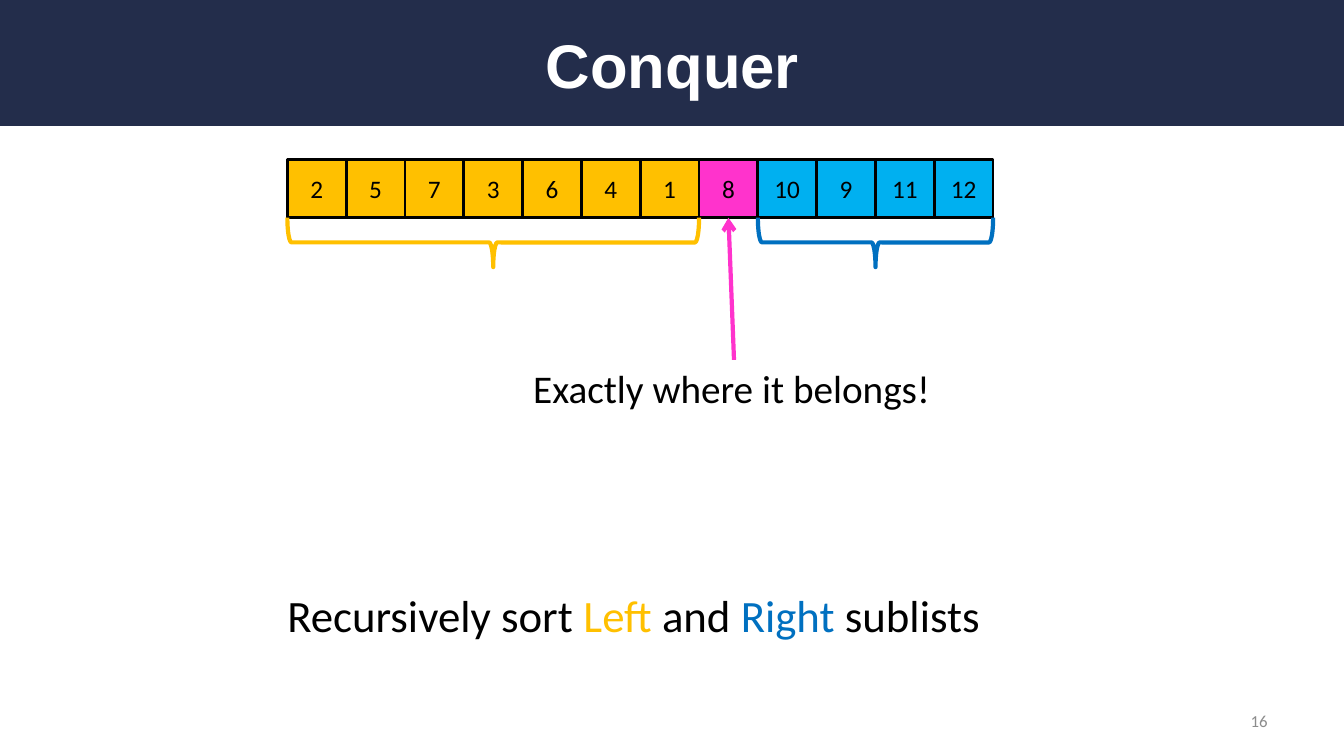
from lxml import etree
from pptx import Presentation
from pptx.dml.color import RGBColor
from pptx.enum.shapes import MSO_CONNECTOR, MSO_SHAPE
from pptx.enum.text import MSO_ANCHOR, MSO_AUTO_SIZE, PP_ALIGN
from pptx.oxml.ns import qn
from pptx.util import Pt

PX = 9144
SLIDE_WIDTH, SLIDE_HEIGHT = 1333, 750
RECTANGLE, RIGHT_BRACE = MSO_SHAPE.RECTANGLE, MSO_SHAPE.RIGHT_BRACE
STRAIGHT = MSO_CONNECTOR.STRAIGHT
MIDDLE, TOP_ANCHOR = MSO_ANCHOR.MIDDLE, MSO_ANCHOR.TOP
LEFT, CENTER, RIGHT = PP_ALIGN.LEFT, PP_ALIGN.CENTER, PP_ALIGN.RIGHT
NO_FIT, GROW = MSO_AUTO_SIZE.NONE, MSO_AUTO_SIZE.SHAPE_TO_FIT_TEXT
TOP_SIDE, BOTTOM_SIDE = 0, 2

NAVY = RGBColor(0x23, 0x2D, 0x4B)
WHITE = RGBColor(0xFF, 0xFF, 0xFF)
BLACK = RGBColor(0x00, 0x00, 0x00)
GRAY = RGBColor(0x8C, 0x8C, 0x8C)
GOLD = RGBColor(0xFF, 0xC0, 0x00)
PINK = RGBColor(0xFF, 0x33, 0xCC)
SKY = RGBColor(0x00, 0xB0, 0xF0)
BLUE = RGBColor(0x00, 0x70, 0xC0)

LEFT_LIST = [2, 5, 7, 3, 6, 4, 1]
PIVOT = 8
RIGHT_LIST = [10, 9, 11, 12]


def emu(*lengths):
    return [round(length * PX) for length in lengths]


def place(shape, box):
    shape.left, shape.top, shape.width, shape.height = emu(*box)


def write(shape, runs, size, align=LEFT, anchor=MIDDLE, font="Calibri", bold=False):
    frame = shape.text_frame
    frame.vertical_anchor = anchor
    paragraph = frame.paragraphs[0]
    paragraph.alignment = align
    paragraph.space_before = Pt(0)
    for text, color in runs:
        run = paragraph.add_run()
        run.text = text
        run.font.name = font
        run.font.size = Pt(size)
        run.font.bold = bold
        run.font.color.rgb = color


def add_shape(slide, kind, box, fill=None, line=None, weight=2):
    shape = slide.shapes.add_shape(kind, *emu(*box))
    shape.shadow.inherit = False
    if fill is None:
        shape.fill.background()
    else:
        shape.fill.solid()
        shape.fill.fore_color.rgb = fill
    if line is None:
        shape.line.fill.background()
    else:
        shape.line.color.rgb = line
        shape.line.width = Pt(weight)
    return shape


def add_header(slide, box):
    left, top, width, height = box
    title = slide.shapes.title
    banner = add_shape(slide, RECTANGLE, box, NAVY)
    title.element.addprevious(banner.element)
    place(title, (left + 67, top + 17, width - 133, height - 33))
    title.text_frame.auto_size = NO_FIT
    write(title, [("Conquer", WHITE)], 44, CENTER, font="Arial", bold=True)


def add_brace(slide, box, color):
    left, top, width, height = box
    upright = (left + (width - height) / 2, top + (height - width) / 2, height, width)
    brace = add_shape(slide, RIGHT_BRACE, upright, line=color, weight=3)
    brace.rotation = 90


def add_array(slide, box):
    left, top, width, height = box
    cells = [(value, GOLD) for value in LEFT_LIST]
    cells.append((PIVOT, PINK))
    cells += [(value, SKY) for value in RIGHT_LIST]
    pitch = width / len(cells)
    for index, (value, fill) in enumerate(cells):
        cell = add_shape(slide, RECTANGLE, (left + index * pitch, top, pitch, height), fill, BLACK)
        frame = cell.text_frame
        frame.margin_left = frame.margin_right = 0
        write(cell, [(str(value), BLACK)], 18, CENTER)
        if value == PIVOT:
            pivot_cell = cell
    left_width = len(LEFT_LIST) * pitch
    right_width = len(RIGHT_LIST) * pitch
    add_brace(slide, (left, top + height, left_width, 49), GOLD)
    add_brace(slide, (left + width - right_width, top + height, right_width, 49), BLUE)
    return pivot_cell


def add_pivot_note(slide, box, pivot_cell):
    note = slide.shapes.add_textbox(*emu(*box))
    note.text_frame.word_wrap = False
    note.text_frame.auto_size = GROW
    write(note, [("Exactly where it belongs!", BLACK)], 28, anchor=TOP_ANCHOR)
    arrow = slide.shapes.add_connector(STRAIGHT, 0, 0, 0, 0)
    arrow.begin_connect(note, TOP_SIDE)
    arrow.end_connect(pivot_cell, BOTTOM_SIDE)
    arrow.line.color.rgb = PINK
    arrow.line.width = Pt(3)
    etree.SubElement(arrow.line._get_or_add_ln(), qn("a:tailEnd"), type="arrow")
    etree.SubElement(arrow.element.spPr, qn("a:effectLst"))


def add_summary(slide, box):
    body = slide.placeholders[1]
    place(body, box)
    body.text_frame.auto_size = NO_FIT
    properties = body.text_frame.paragraphs[0]._p.get_or_add_pPr()
    properties.set("marL", "0")
    properties.set("indent", "0")
    etree.SubElement(properties, qn("a:buNone"))
    write(body, [("Recursively sort ", BLACK), ("Left", GOLD), (" and ", BLACK),
                 ("Right ", BLUE), ("sublists", BLACK)], 32)


def add_page_number(slide, box):
    number = slide.shapes.add_textbox(*emu(*box))
    number.text_frame.word_wrap = True
    write(number, [("16", GRAY)], 12, RIGHT)


def main():
    presentation = Presentation()
    presentation.slide_width, presentation.slide_height = emu(SLIDE_WIDTH, SLIDE_HEIGHT)
    slide = presentation.slides.add_slide(presentation.slide_layouts[1])
    add_header(slide, (0, 0, SLIDE_WIDTH, 125))
    add_summary(slide, (275, 572, 900, 75))
    add_page_number(slide, (956, 695, 311, 40))
    pivot_cell = add_array(slide, (285, 158, 700, 58))
    add_pivot_note(slide, (519, 357, 418, 57), pivot_cell)
    presentation.save("out.pptx")


if __name__ == "__main__":
    main()
